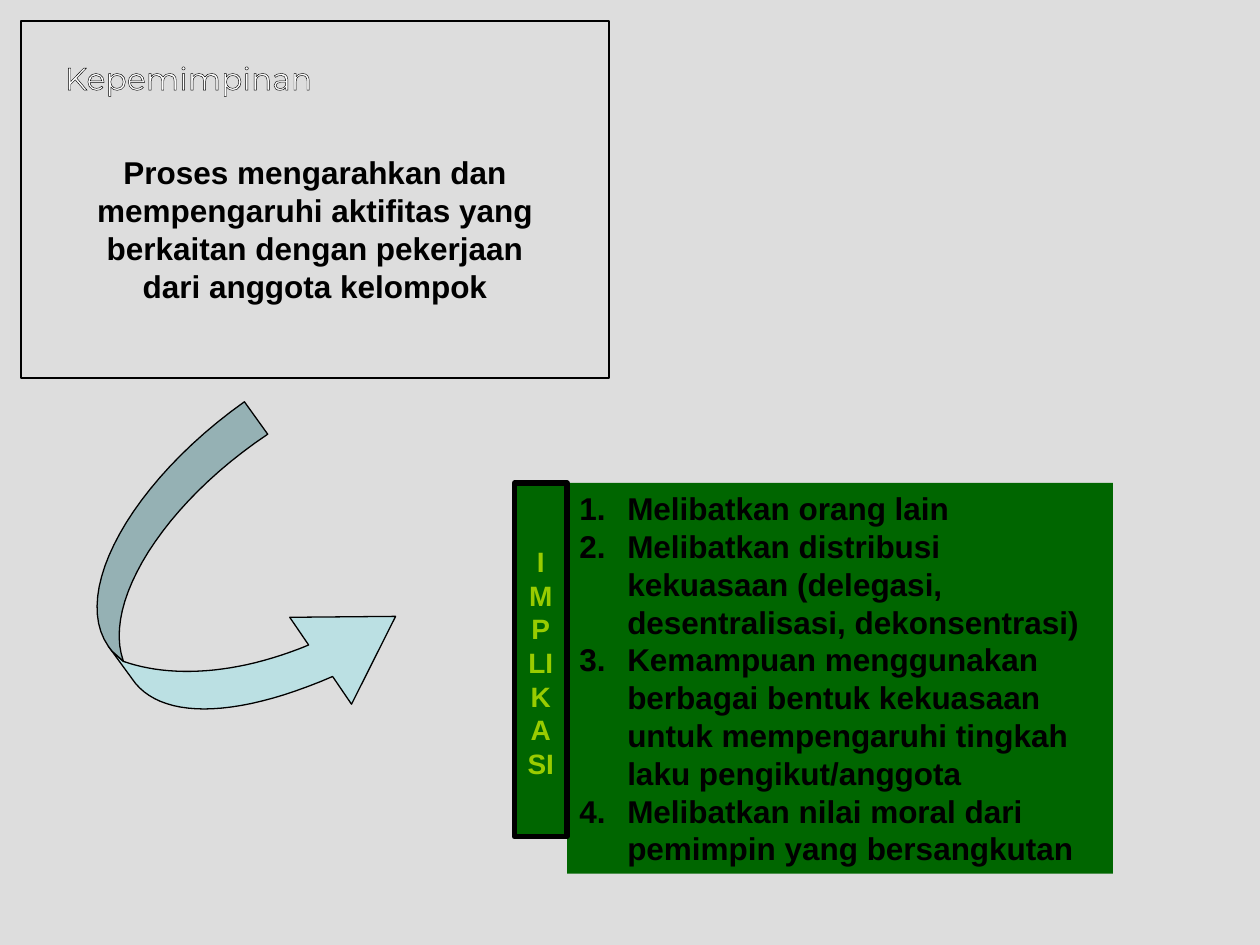
from collections import namedtuple
from lxml.etree import SubElement
from pptx import Presentation
from pptx.dml.color import RGBColor as Rgb
from pptx.enum.shapes import MSO_SHAPE as Shape
from pptx.enum.text import MSO_ANCHOR as Anchor, PP_ALIGN as Align
from pptx.oxml.ns import qn
from pptx.util import Inches, Pt

COLORS = {
    "page": "DDDDDD",
    "ink": "000000",
    "panel": "006600",
    "label": "99CC00",
    "title": "FFFFFF",
    "arrow": "BBE0E3",
    "arrow_shade": "95B1B4",
}
COLUMNS, ROWS = 120, 90
Box = namedtuple("Box", "left top width height")

DEFINITION = (
    "Proses mengarahkan dan mempengaruhi aktifitas yang "
    "berkaitan dengan pekerjaan dari anggota kelompok"
)
IMPLICATIONS = [
    "Melibatkan orang lain",
    "Melibatkan distribusi kekuasaan (delegasi, desentralisasi, dekonsentrasi)",
    "Kemampuan menggunakan berbagai bentuk kekuasaan untuk mempengaruhi "
    "tingkah laku pengikut/anggota",
    "Melibatkan nilai moral dari pemimpin yang bersangkutan",
]

TAIL_OUTER = [(47.6, 0.9), (11.6, 26.5), (-7.6, 61.3), (4.4, 78.5)]
TAIL_INNER = [(9.2, 83.3), (2.4, 64.5), (22, 33.3), (55, 11.2)]
BODY_LOWER = [(12, 88.9), (20.4, 101.3), (43.2, 102.1), (75.6, 88.1)]
HEAD = [(81.6, 96.9), (95.6, 69), (62, 69.3)]
BODY_UPPER = [(68, 78.1), (44.8, 87.7), (24, 88.5), (9.2, 83.3)]
FOLD = (5.6, 80.1)


def color(name):
    return Rgb.from_string(COLORS[name])


def cells(left, top, width, height, parent=Box(0, 0, 0, 0)):
    return Box(parent.left + left, parent.top + top, width, height)


def place(box):
    across, down = Inches(10) / COLUMNS, Inches(7.5) / ROWS
    return [
        round(value * unit)
        for value, unit in zip(box, (across, down, across, down))
    ]


def paint(shape, fill, line=None, weight=0.75):
    shape.shadow.inherit = False
    shape.fill.solid()
    shape.fill.fore_color.rgb = color(fill)
    if line:
        shape.line.color.rgb = color(line)
        shape.line.width = Pt(weight)
    else:
        shape.line.fill.background()


def add_panel(page, box, fill, line=None, weight=0.75):
    panel = page.shapes.add_shape(Shape.RECTANGLE, *place(box))
    paint(panel, fill, line, weight)
    return panel


def write(shape, lines, tint="ink", size=18, name="Arial", bold=True,
          align=Align.LEFT, wrap=True, top=0.05):
    frame = shape.text_frame
    frame_format = {
        "word_wrap": wrap,
        "vertical_anchor": Anchor.TOP,
        "margin_left": Inches(0.1),
        "margin_right": Inches(0.1),
        "margin_top": Inches(top),
        "margin_bottom": Inches(0.05),
    }
    for key, value in frame_format.items():
        setattr(frame, key, value)
    for index, line in enumerate(lines):
        para = frame.add_paragraph() if index else frame.paragraphs[0]
        para.alignment = align
        para.line_spacing = Pt(size * 1.2)
        span = para.add_run()
        span.text = line
        for key, value in {"size": Pt(size), "name": name, "bold": bold}.items():
            setattr(span.font, key, value)
        span.font.color.rgb = color(tint)
    return frame.paragraphs


def outline_text(span):
    properties = span.font._element
    line = SubElement(properties, qn("a:ln"), w=str(Pt(0.75)))
    fill = SubElement(line, qn("a:solidFill"))
    SubElement(fill, qn("a:srgbClr"), val=COLORS["ink"])
    properties.insert(0, line)


def number(para):
    properties = para._p.get_or_add_pPr()
    properties.set("marL", str(Inches(0.38)))
    properties.set("indent", str(-Inches(0.38)))
    tint = SubElement(properties, qn("a:buClr"))
    SubElement(tint, qn("a:srgbClr"), val=COLORS["ink"])
    SubElement(properties, qn("a:buFont"), typeface="+mj-lt")
    SubElement(properties, qn("a:buAutoNum"), type="arabicPeriod")


def curve(controls, steps=24):
    points = []
    for step in range(steps + 1):
        t = step / steps
        weights = ((1 - t) ** 3, 3 * t * (1 - t) ** 2, 3 * t * t * (1 - t), t ** 3)
        points.append(tuple(
            sum(weight * point[axis] for weight, point in zip(weights, controls))
            for axis in (0, 1)
        ))
    return points


def add_outline(page, box, points, fill):
    left, top, width, height = place(box)
    spots = [
        (round(left + width * x / 100), round(top + height * y / 100))
        for x, y in points
    ]
    builder = page.shapes.build_freeform(*spots[0])
    builder.add_line_segments(spots[1:], close=True)
    paint(builder.convert_to_shape(), fill, "ink")


def definition_region(page, box):
    add_panel(page, box, "page", "ink")
    title = page.shapes.add_textbox(*place(cells(3, 3, 49, 8.5, box)))
    paras = write(title, ["Kepemimpinan"], "title", name="Montserrat",
                  bold=False, wrap=False)
    outline_text(paras[0].runs[0])
    body = page.shapes.add_textbox(*place(cells(5, 12, 46, 15.6, box)))
    write(body, [DEFINITION], align=Align.CENTER)


def implication_region(page, box):
    strip = 5
    content = cells(strip, 0, box.width - strip, box.height, box)
    for para in write(add_panel(page, content, "panel"), IMPLICATIONS):
        number(para)
    label = add_panel(page, cells(0, 0, strip, 33.7, box), "panel", "ink", 3)
    write(label, ["IMPLIKASI"], "label", size=16, align=Align.CENTER, top=0.49)


def arrow_region(page, box):
    tail = curve(TAIL_OUTER) + [FOLD] + curve(TAIL_INNER)
    body = (TAIL_OUTER[-1:] + curve(BODY_LOWER) + HEAD
            + curve(BODY_UPPER) + [FOLD])
    add_outline(page, box, body, "arrow")
    add_outline(page, box, tail, "arrow_shade")


def main():
    deck = Presentation()
    deck.slide_width, deck.slide_height = Inches(10), Inches(7.5)
    page = deck.slides.add_slide(deck.slide_layouts[6])
    page.background.fill.solid()
    page.background.fill.fore_color.rgb = color("page")
    definition_region(page, cells(2, 2, 56, 34))
    implication_region(page, cells(49, 46, 57, 37.2))
    arrow_region(page, cells(9, 38, 30, 30))
    deck.save("out.pptx")


if __name__ == "__main__":
    main()
